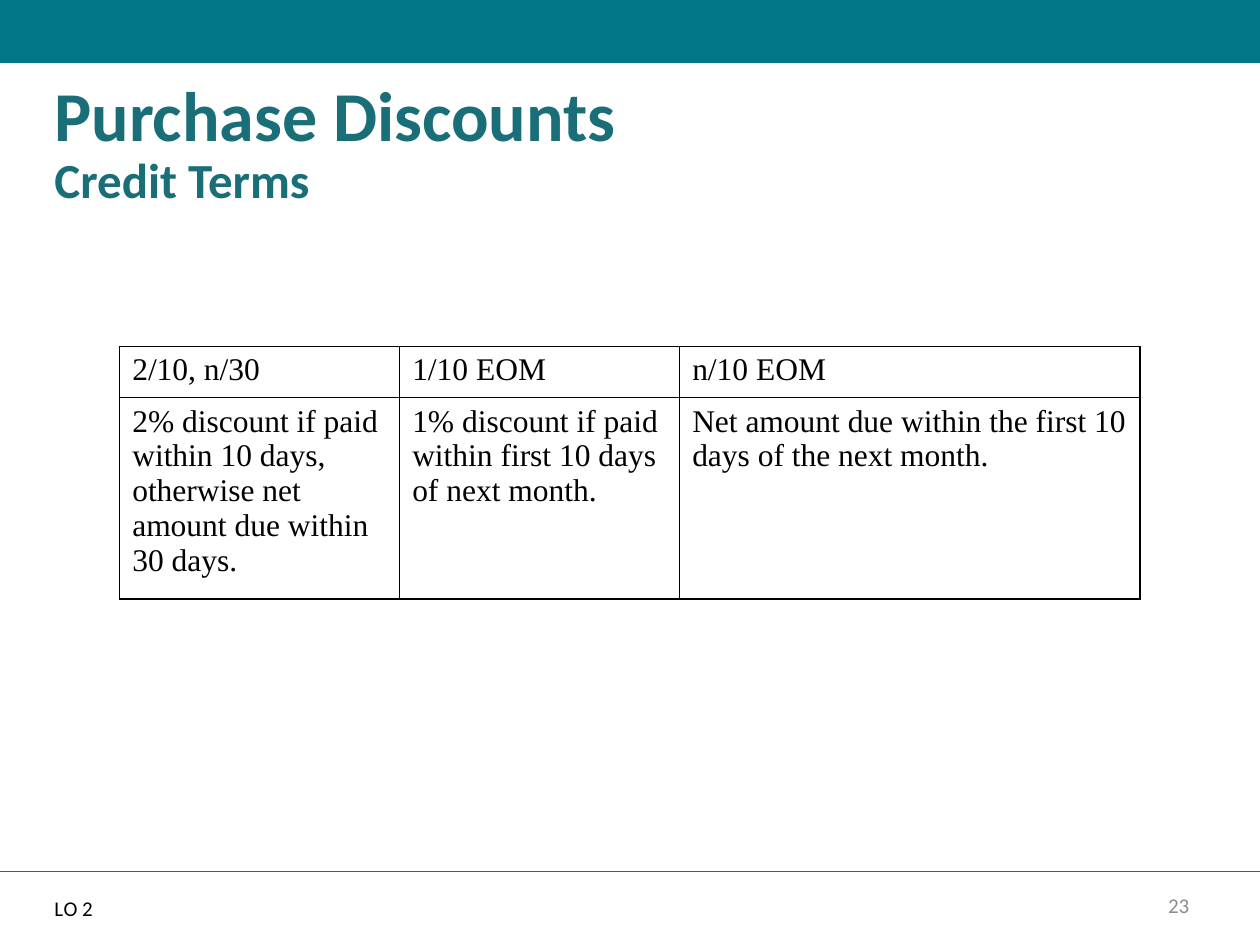
from lxml.etree import SubElement
from pptx import Presentation
from pptx.dml.color import RGBColor
from pptx.enum.shapes import MSO_CONNECTOR, MSO_SHAPE
from pptx.enum.text import MSO_ANCHOR, PP_ALIGN
from pptx.oxml.ns import qn
from pptx.util import Pt

TEAL = RGBColor(0x00, 0x77, 0x87)
DARK_TEAL = RGBColor(0x19, 0x6E, 0x78)
GRAY = RGBColor(0x8C, 0x8C, 0x8C)
BLACK = RGBColor(0x00, 0x00, 0x00)

WIDTH, HEIGHT = 720, 540
LINE_BREAK = "\n"


class SlideBuilder:
    heading_font = "Calibri"
    table_font = "Times New Roman"

    def __init__(self, slide):
        self.slide = slide

    def bar(self, left, top, width, height, color):
        bar = self.slide.shapes.add_shape(
            MSO_SHAPE.RECTANGLE, Pt(left), Pt(top), Pt(width), Pt(height))
        bar.shadow.inherit = False
        bar.fill.solid()
        bar.fill.fore_color.rgb = color
        bar.line.fill.background()

    def rule(self, left, right, y, color):
        rule = self.slide.shapes.add_connector(
            MSO_CONNECTOR.STRAIGHT, Pt(left), Pt(y), Pt(right), Pt(y))
        rule.line.color.rgb = color
        rule.line.width = Pt(1)
        SubElement(rule._element.spPr, qn("a:effectLst"))

    def run(self, paragraph, text, size, color, font, bold=False):
        run = paragraph.add_run()
        run.text = text
        run.font.size = Pt(size)
        run.font.name = font
        run.font.bold = bold
        run.font.color.rgb = color

    def text(self, left, top, width, height, runs, color, bold=False,
             align=PP_ALIGN.LEFT, anchor=MSO_ANCHOR.TOP, spacing=0.9, before=0):
        frame = self.slide.shapes.add_textbox(
            Pt(left), Pt(top), Pt(width), Pt(height)).text_frame
        frame.word_wrap = True
        frame.vertical_anchor = anchor
        paragraph = frame.paragraphs[0]
        paragraph.alignment = align
        paragraph.line_spacing = spacing
        paragraph.space_before = Pt(before)
        for words, size in runs:
            if words == LINE_BREAK:
                paragraph.add_line_break()
            else:
                self.run(paragraph, words, size, color, self.heading_font, bold)

    def border(self, cell, color):
        properties = cell._tc.get_or_add_tcPr()
        for position, side in enumerate(("a:lnL", "a:lnR", "a:lnT", "a:lnB")):
            line = SubElement(properties, qn(side), w=str(Pt(1)))
            fill = SubElement(line, qn("a:solidFill"))
            SubElement(fill, qn("a:srgbClr"), val=str(color))
            properties.insert(position, line)

    def table(self, left, top, widths, heights, rows):
        table = self.slide.shapes.add_table(
            len(rows), len(widths), Pt(left), Pt(top),
            Pt(sum(widths)), Pt(sum(heights))).table
        table.first_row = table.horz_banding = False
        for column, width in zip(table.columns, widths):
            column.width = Pt(width)
        for row, height, entries in zip(table.rows, heights, rows):
            row.height = Pt(height)
            for cell, entry in zip(row.cells, entries):
                cell.fill.background()
                self.border(cell, BLACK)
                self.run(cell.text_frame.paragraphs[0], entry, 18, BLACK,
                         self.table_font)


def main():
    presentation = Presentation()
    presentation.slide_width, presentation.slide_height = Pt(WIDTH), Pt(HEIGHT)
    builder = SlideBuilder(
        presentation.slides.add_slide(presentation.slide_layouts[6]))

    # Header band, footer rule and page number
    builder.bar(0, 0, WIDTH, 36, TEAL)
    builder.rule(0, WIDTH, 498, DARK_TEAL)
    builder.text(651.6, 507, 44, 20, [("23", 12)], GRAY, align=PP_ALIGN.CENTER,
                 anchor=MSO_ANCHOR.MIDDLE, spacing=1.0)

    # Title and subtitle
    builder.text(24, 42.5, 672, 90,
                 [("Purchase Discounts", 40), (LINE_BREAK, 40),
                  ("Credit Terms", 28)], DARK_TEAL, bold=True)

    # Credit terms and their meaning
    builder.table(68.4, 198, [160, 160, 263], [29.2, 107], [
        ("2/10, n/30", "1/10 EOM", "n/10 EOM"),
        ("2% discount if paid within 10 days, otherwise net amount due "
         "within 30 days.",
         "1% discount if paid within first 10 days of next month.",
         "Net amount due within the first 10 days of the next month."),
    ])

    # Learning objective
    builder.text(24, 510, 48, 24, [("L", 12), (" ", 1), ("O 2", 12)], BLACK,
                 before=10)

    presentation.save("out.pptx")


if __name__ == "__main__":
    main()
